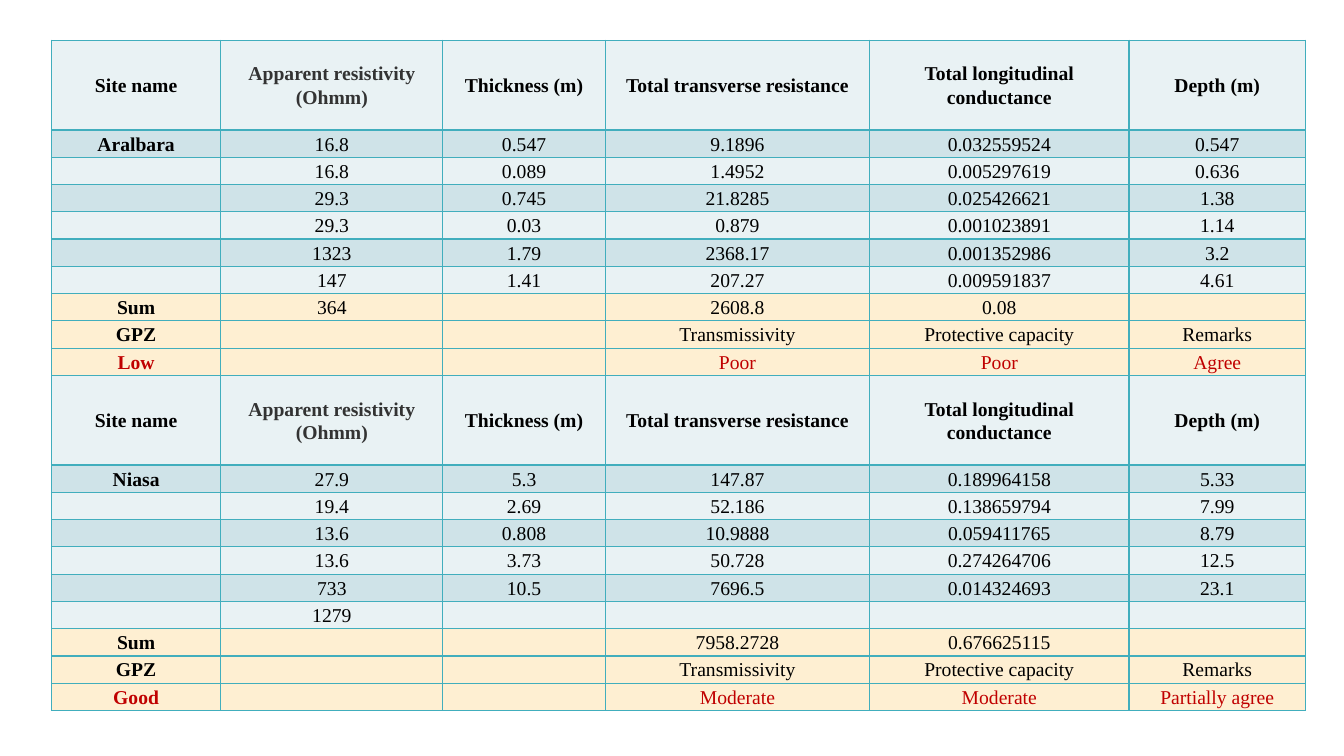
from lxml import etree
from pptx import Presentation
from pptx.dml.color import RGBColor
from pptx.enum.text import MSO_ANCHOR, PP_ALIGN
from pptx.oxml.ns import qn
from pptx.util import Inches, Pt

CENTER = PP_ALIGN.CENTER
MIDDLE = MSO_ANCHOR.MIDDLE
FONT = "Times New Roman"
SIZE = Pt(14)
COLORS = {
    "line": "41AEBD", "light": "E9F2F4", "band": "CFE3E8", "sum": "FEEFD2",
    "text": "000000", "gray": "333333", "red": "C00000",
}
WIDTHS = [1.68, 2.2, 1.61, 2.62, 2.57, 1.75]
HEAD_H = 0.89
HEAD = ["Site name", "Apparent resistivity (Ohmm)", "Thickness (m)",
        "Total transverse resistance", "Total longitudinal conductance",
        "Depth (m)"]
GPZ = ["GPZ", "", "", "Transmissivity", "Protective capacity", "Remarks"]
SITES = [
    [
        HEAD,
        ["Aralbara", "16.8", "0.547", "9.1896", "0.032559524", "0.547"],
        ["", "16.8", "0.089", "1.4952", "0.005297619", "0.636"],
        ["", "29.3", "0.745", "21.8285", "0.025426621", "1.38"],
        ["", "29.3", "0.03", "0.879", "0.001023891", "1.14"],
        ["", "1323", "1.79", "2368.17", "0.001352986", "3.2"],
        ["", "147", "1.41", "207.27", "0.009591837", "4.61"],
        ["Sum", "364", "", "2608.8", "0.08", ""],
        GPZ,
        ["Low", "", "", "Poor", "Poor", "Agree"],
    ],
    [
        HEAD,
        ["Niasa", "27.9", "5.3", "147.87", "0.189964158", "5.33"],
        ["", "19.4", "2.69", "52.186", "0.138659794", "7.99"],
        ["", "13.6", "0.808", "10.9888", "0.059411765", "8.79"],
        ["", "13.6", "3.73", "50.728", "0.274264706", "12.5"],
        ["", "733", "10.5", "7696.5", "0.014324693", "23.1"],
        ["", "1279", "", "", "", ""],
        ["Sum", "", "", "7958.2728", "0.676625115", ""],
        GPZ,
        ["Good", "", "", "Moderate", "Moderate", "Partially agree"],
    ],
]
SUM_ROW, LAST_ROW = 7, 9


def rgb(name):
    return RGBColor.from_string(COLORS[name])


def add_edges(cell):
    """Draw a thin line on all four sides of the cell."""
    props = cell._tc.get_or_add_tcPr()
    for index, side in enumerate(("a:lnL", "a:lnR", "a:lnT", "a:lnB")):
        line = etree.Element(qn(side), w=str(Pt(1)))
        fill = etree.SubElement(line, qn("a:solidFill"))
        etree.SubElement(fill, qn("a:srgbClr"), val=COLORS["line"])
        props.insert(index, line)


def fill_cell(cell, text, fill, color, bold):
    cell.fill.solid()
    cell.fill.fore_color.rgb = rgb(fill)
    add_edges(cell)
    cell.vertical_anchor = MIDDLE
    cell.margin_left = cell.margin_right = Inches(0.07)
    cell.margin_top = cell.margin_bottom = 0
    para = cell.text_frame.paragraphs[0]
    para.alignment = CENTER
    para.line_spacing = 1.07
    para.space_after = Pt(8)
    para.font.name = FONT
    para.font.size = SIZE
    para.font.bold = bold
    para.font.color.rgb = rgb(color)
    if text:
        para.add_run().text = text
    else:
        etree.SubElement(para._p, qn("a:endParaRPr"), sz=str(SIZE.centipoints))


def pick_style(row, col):
    """Return fill, text colour and weight for a place within one site."""
    if row >= SUM_ROW:
        fill = "sum"
    else:
        fill = "band" if row % 2 else "light"
    color = "text"
    if row == LAST_ROW:
        color = "red"
    elif row == 0 and col == 1:
        color = "gray"
    return fill, color, row == 0 or col == 0


def add_sites(slide, left, top, width, height):
    count = sum(len(site) for site in SITES)
    frame = slide.shapes.add_table(count, len(WIDTHS), Inches(left),
                                   Inches(top), Inches(width), Inches(height))
    table = frame.table
    table.first_row = table.horz_banding = False
    for column, part in zip(table.columns, WIDTHS):
        column.width = Inches(width * part / sum(WIDTHS))
    row_h = (height - len(SITES) * HEAD_H) / (count - len(SITES))
    start = 0
    for site in SITES:
        for r, texts in enumerate(site):
            table.rows[start + r].height = Inches(row_h if r else HEAD_H)
            for c, text in enumerate(texts):
                fill_cell(table.cell(start + r, c), text, *pick_style(r, c))
        start += len(site)


def main():
    deck = Presentation()
    deck.slide_width = Inches(13.33)
    deck.slide_height = Inches(7.5)
    slide = deck.slides.add_slide(deck.slide_layouts[6])
    add_sites(slide, 0.51, 0.4, 12.44, 6.65)
    deck.save("out.pptx")


if __name__ == "__main__":
    main()
